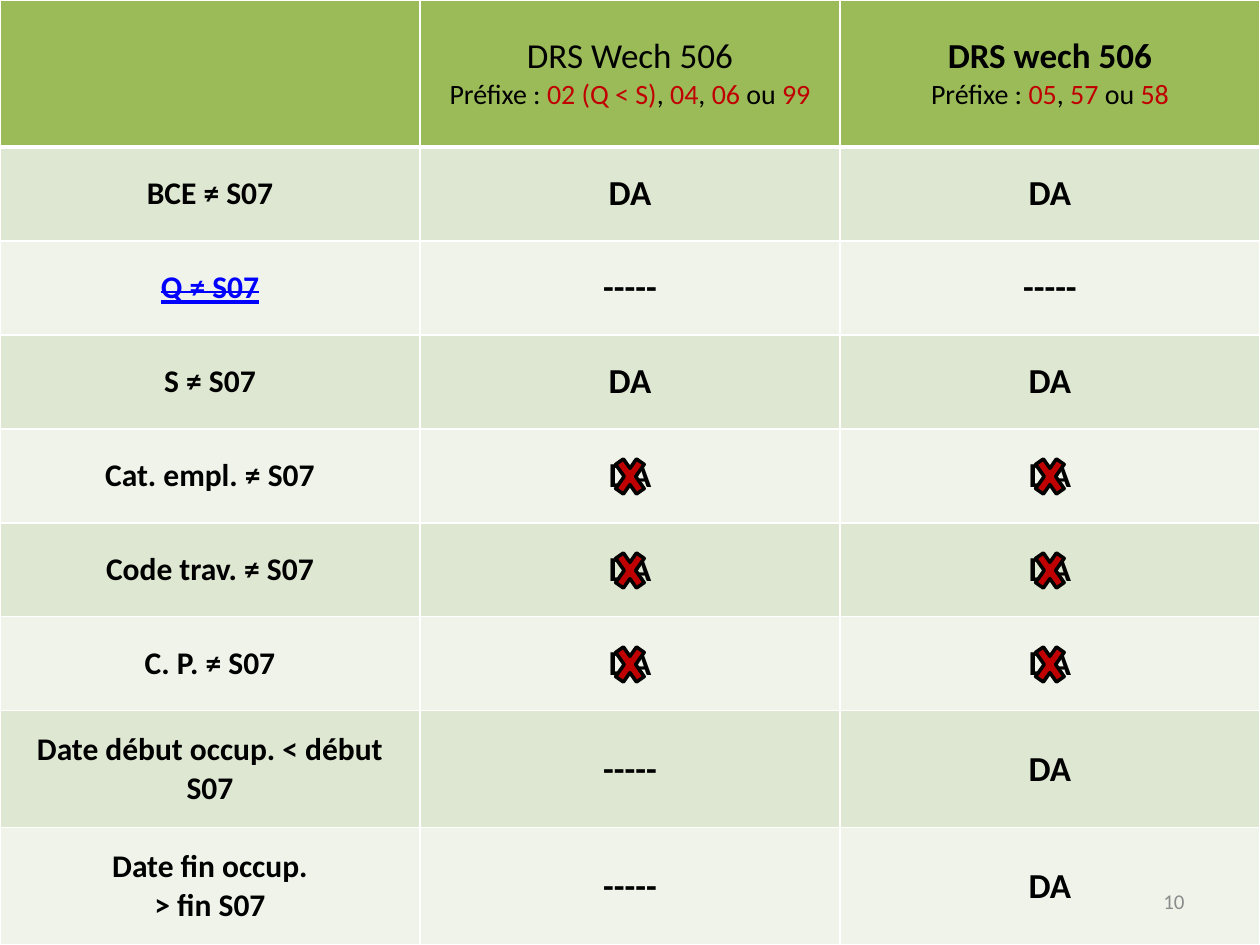
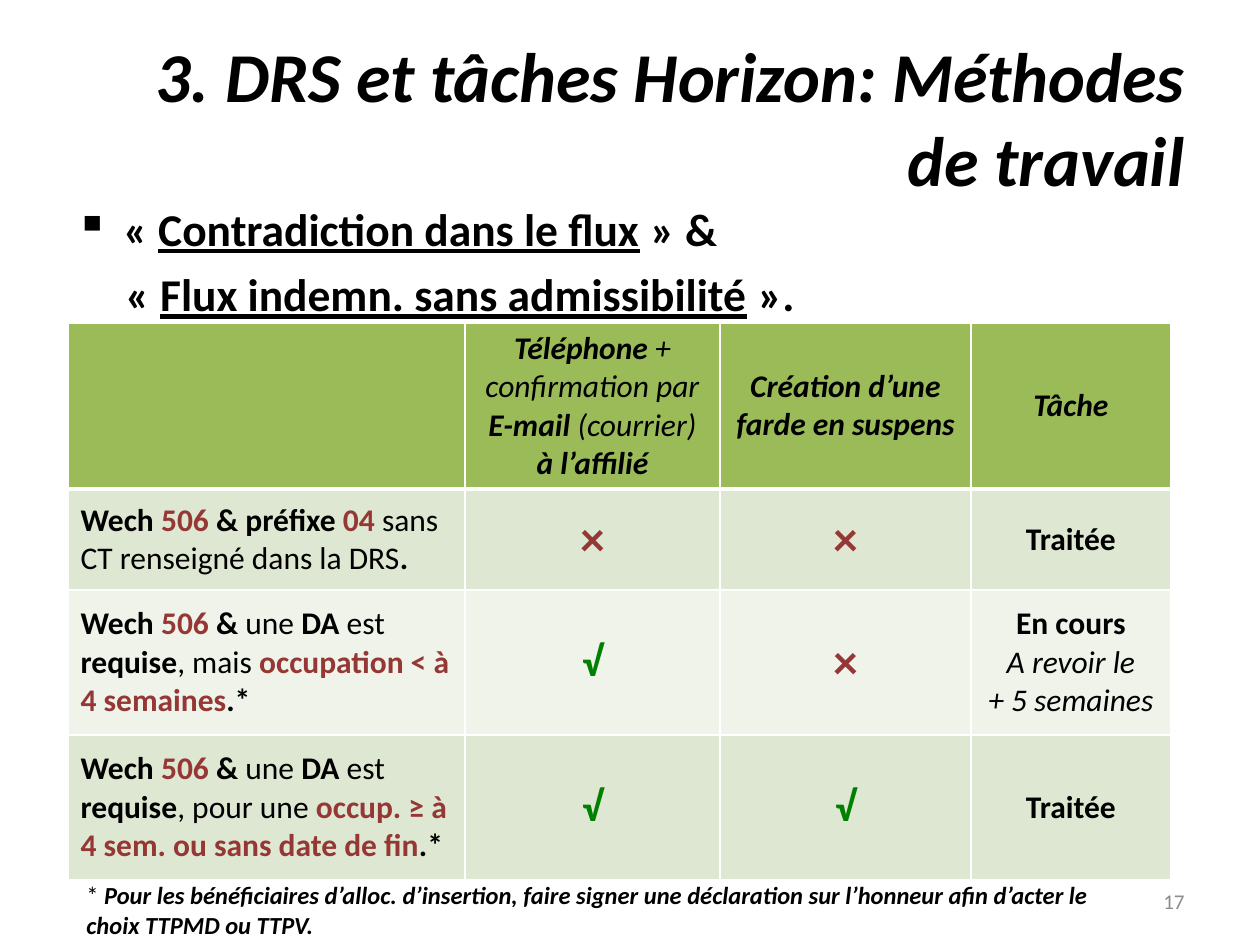
"""Build two slides on contradiction checks and working methods for DRS tasks."""
from dataclasses import dataclass
from typing import NamedTuple

from lxml.etree import SubElement
from pptx import Presentation
from pptx.dml.color import RGBColor
from pptx.enum.shapes import MSO_SHAPE
from pptx.enum.text import MSO_ANCHOR, MSO_AUTO_SIZE, PP_ALIGN
from pptx.oxml.ns import qn
from pptx.util import Emu, Pt

EMU_PER_PX = 914400 / 126
SLIDE_WIDTH, SLIDE_HEIGHT = 1260, 945
FONT = "Calibri"
LEFT, CENTER, RIGHT = PP_ALIGN.LEFT, PP_ALIGN.CENTER, PP_ALIGN.RIGHT

BLACK = RGBColor(0, 0, 0)
WHITE = RGBColor(0xFF, 0xFF, 0xFF)
GREY = RGBColor(0x8C, 0x8C, 0x8C)
RED = RGBColor(0xC0, 0, 0)
BRICK = RGBColor(0x95, 0x37, 0x35)
GREEN = RGBColor(0, 0x80, 0)
BLUE = RGBColor(0, 0, 0xFF)
HEADER_FILL = RGBColor(0x9B, 0xBB, 0x59)
BAND_FILLS = (RGBColor(0xDE, 0xE7, 0xD1), RGBColor(0xEF, 0xF3, 0xEA))

BOLD = {"bold": True}
ITALIC = {"italic": True}
BOLD_ITALIC = BOLD | ITALIC
ACCENT = BOLD | {"color": BRICK}
PREFIX = {"size": Pt(16)}
PREFIX_CODE = PREFIX | {"color": RED}


class Span(NamedTuple):
    """A piece of text with its own format."""
    text: str
    format: dict = {}


Lines = list[list[Span]]


class Box(NamedTuple):
    """A rectangle in px."""
    left: int
    top: int
    width: int
    height: int

    def emu(self) -> list[Emu]:
        """Return the four lengths in EMU."""
        return [px(length) for length in self]


@dataclass
class Cell:
    """The text of a table cell."""
    lines: Lines
    align: PP_ALIGN = CENTER


@dataclass
class Grid:
    """A table with its place, sizes and cells."""
    left: int
    top: int
    columns: list[int]
    rows: list[int]
    cells: list[list[Cell]]


def px(length: int) -> Emu:
    """Turn px into EMU."""
    return Emu(round(length * EMU_PER_PX))


def write(frame, lines: Lines, align: PP_ALIGN = LEFT, size: int = 18) -> None:
    """Fill a text frame with formatted lines."""
    for index, line in enumerate(lines):
        para = frame.add_paragraph() if index else frame.paragraphs[0]
        para.alignment = align
        for text, special in line:
            span = para.add_run()
            span.text = text
            values = {"name": FONT, "size": Pt(size), "bold": False, "italic": False, "color": BLACK}
            for name, value in (values | special).items():
                if name == "color":
                    span.font.color.rgb = value
                elif name == "strike":
                    span.font._element.set("strike", value)
                else:
                    setattr(span.font, name, value)


def add_text(page, box: Box, lines: Lines, align: PP_ALIGN = LEFT, size: int = 18,
             anchor: MSO_ANCHOR = MSO_ANCHOR.TOP):
    """Add a wrapping text box and return its frame."""
    frame = page.shapes.add_textbox(*box.emu()).text_frame
    frame.word_wrap = True
    frame.vertical_anchor = anchor
    write(frame, lines, align, size)
    return frame


def add_page_number(page, number: int) -> None:
    """Add the page number at the bottom right."""
    add_text(page, Box(903, 876, 294, 50), [[Span(str(number), {"color": GREY})]],
             RIGHT, 12, MSO_ANCHOR.MIDDLE)


def set_borders(cell, bottom: int) -> None:
    """Draw white lines around a cell, the bottom one in its own width."""
    properties = cell._tc.get_or_add_tcPr()
    for side, width in {"L": 1, "R": 1, "T": 1, "B": bottom}.items():
        line = SubElement(properties, qn(f"a:ln{side}"), w=str(Pt(width)))
        fill = SubElement(line, qn("a:solidFill"))
        SubElement(fill, qn("a:srgbClr"), val=str(WHITE))


def add_grid(page, grid: Grid) -> None:
    """Add a table with a green header and two band colours."""
    box = Box(grid.left, grid.top, sum(grid.columns), sum(grid.rows))
    table = page.shapes.add_table(len(grid.rows), len(grid.columns), *box.emu()).table
    for column, width in zip(table.columns, grid.columns):
        column.width = px(width)
    for row, height in zip(table.rows, grid.rows):
        row.height = px(height)
    for row_index, row in enumerate(grid.cells):
        for column_index, content in enumerate(row):
            cell = table.cell(row_index, column_index)
            set_borders(cell, 1 if row_index else 3)
            cell.fill.solid()
            cell.fill.fore_color.rgb = BAND_FILLS[(row_index - 1) % 2] if row_index else HEADER_FILL
            cell.vertical_anchor = MSO_ANCHOR.MIDDLE
            write(cell.text_frame, content.lines, content.align)


def add_cross(page, box: Box) -> None:
    """Add a red cross with a black outline."""
    cross = page.shapes.add_shape(MSO_SHAPE.MATH_MULTIPLY, *box.emu())
    cross.shadow.inherit = False
    cross.fill.solid()
    cross.fill.fore_color.rgb = RED
    cross.line.color.rgb = BLACK
    cross.line.width = Pt(2)


def single(text: str, size: int = 18, **special) -> Cell:
    """Return a bold centred cell with one line."""
    return Cell([[Span(text, BOLD | {"size": Pt(size)} | special)]])


def prefix_header(title: Span, *codes: Span) -> Cell:
    """Return a header cell with a title above its prefixes."""
    return Cell([[title], [Span("Préfixe : ", PREFIX), *codes]])


def case(*spans: Span) -> Cell:
    """Return a left-aligned case that starts with the form number."""
    return Cell([[Span("Wech ", BOLD), Span("506 ", ACCENT), Span("& ", BOLD), *spans]], LEFT)


def required_case(joint: str, condition: str) -> Cell:
    """Return a case in which a DA is required."""
    return case(Span("une "), Span("DA", BOLD), Span(" est "), Span("requise", BOLD),
                Span(joint), Span(condition, ACCENT), Span(".*", BOLD))


def build_checks(deck) -> None:
    """Build the table of checks against S07."""
    page = deck.slides.add_slide(deck.slide_layouts[6])
    request, nothing = single("DA", 20), single("-----", 20)
    comma, either = Span(", ", PREFIX), Span(" ou ", PREFIX)
    header = [
        Cell([[]]),
        prefix_header(Span("DRS Wech 506", {"size": Pt(20)}), Span("02 (Q < S)", PREFIX_CODE), comma,
                      Span("04", PREFIX_CODE), comma, Span("06", PREFIX_CODE), either,
                      Span("99", PREFIX_CODE)),
        prefix_header(Span("DRS wech 506", BOLD | {"size": Pt(20)}), Span("05", PREFIX_CODE), comma,
                      Span("57", PREFIX_CODE), either, Span("58", PREFIX_CODE)),
    ]
    checks = [
        [single("BCE ≠ S07"), request, request],
        [single("Q ≠ S07", color=BLUE, underline=True, strike="sngStrike"), nothing, nothing],
        [single("S ≠ S07"), request, request],
        [single("Cat. empl. ≠ S07"), request, request],
        [single("Code trav. ≠ S07"), request, request],
        [single("C. P. ≠ S07"), request, request],
        [single("Date début occup. < début S07"), nothing, request],
        [Cell([[Span("Date fin occup.", BOLD)], [Span("> fin S07", BOLD)]]), nothing, request],
    ]
    grid = Grid(0, 0, [420] * 3, [147] + [94] * 6 + [117] * 2, [header, *checks])
    add_grid(page, grid)
    for column in (1, 2):
        for row in (4, 5, 6):
            center_x = sum(grid.columns[:column]) + grid.columns[column] // 2
            center_y = sum(grid.rows[:row]) + grid.rows[row] // 2
            add_cross(page, Box(center_x - 20, center_y - 28, 40, 57))
    add_page_number(page, 10)


def add_flows(page) -> None:
    """Add the two flow names under one bullet."""
    underlined = BOLD | {"underline": True}
    names = {"Contradiction dans le flux": " » &", "Flux indemn. sans admissibilité": " »."}
    lines = [[Span("« ", BOLD), Span(name, underlined), Span(end, BOLD)] for name, end in names.items()]
    first, second = add_text(page, Box(63, 195, 1134, 135), lines, size=26).paragraphs
    bullet = first._p.get_or_add_pPr()
    bullet.set("marL", str(px(48)))
    bullet.set("indent", str(-px(48)))
    SubElement(bullet, qn("a:buChar"), char="▪")
    second._p.get_or_add_pPr().set("marL", str(px(50)))
    second.space_before = Pt(6)


def build_methods(deck) -> None:
    """Build the table of working methods."""
    page = deck.slides.add_slide(deck.slide_layouts[5])
    title = page.shapes.title
    title.left, title.top, title.width, title.height = Box(63, 38, 1134, 157).emu()
    title.text_frame.auto_size = MSO_AUTO_SIZE.NONE
    title.text_frame.vertical_anchor = MSO_ANCHOR.MIDDLE
    write(title.text_frame, [[Span("3. DRS et tâches Horizon: Méthodes de travail", BOLD_ITALIC)]], RIGHT, 40)
    add_flows(page)
    no, yes = single("×", 28, color=BRICK), single("√", 24, color=GREEN)
    done = single("Traitée")
    cells = [
        [
            Cell([[]]),
            Cell([[Span("Téléphone ", BOLD_ITALIC), Span("+ confirmation par ", ITALIC),
                   Span("E-mail ", BOLD_ITALIC), Span("(courrier)", ITALIC)],
                  [Span("à l’affilié", BOLD_ITALIC)]]),
            single("Création d’une farde en suspens", italic=True),
            single("Tâche", italic=True),
        ],
        [case(Span("préfixe ", BOLD), Span("04 ", ACCENT),
              Span("sans CT renseigné dans la DRS"), Span(".", BOLD)), no, no, done],
        [required_case(", mais ", "occupation < à 4 semaines"), yes, no,
         Cell([[Span("En cours", BOLD)], [Span("A revoir le", ITALIC)], [Span("+ 5 semaines", ITALIC)]])],
        [required_case(", pour une ", "occup. ≥ à 4 sem. ou sans date de fin"), yes, yes, done],
    ]
    add_grid(page, Grid(68, 323, [397, 255, 251, 200], [166, 101, 145, 145], cells))
    add_text(page, Box(74, 874, 1081, 72), [[
        Span("* "),
        Span("Pour les bénéficiaires d’alloc. d’insertion, faire signer une déclaration sur "
             "l’honneur afin d’acter le choix TTPMD ou TTPV.", BOLD_ITALIC),
    ]], size=14)
    add_page_number(page, 17)


def main() -> None:
    """Build and save the deck."""
    deck = Presentation()
    deck.slide_width, deck.slide_height = px(SLIDE_WIDTH), px(SLIDE_HEIGHT)
    build_checks(deck)
    build_methods(deck)
    deck.save("out.pptx")


if __name__ == "__main__":
    main()
